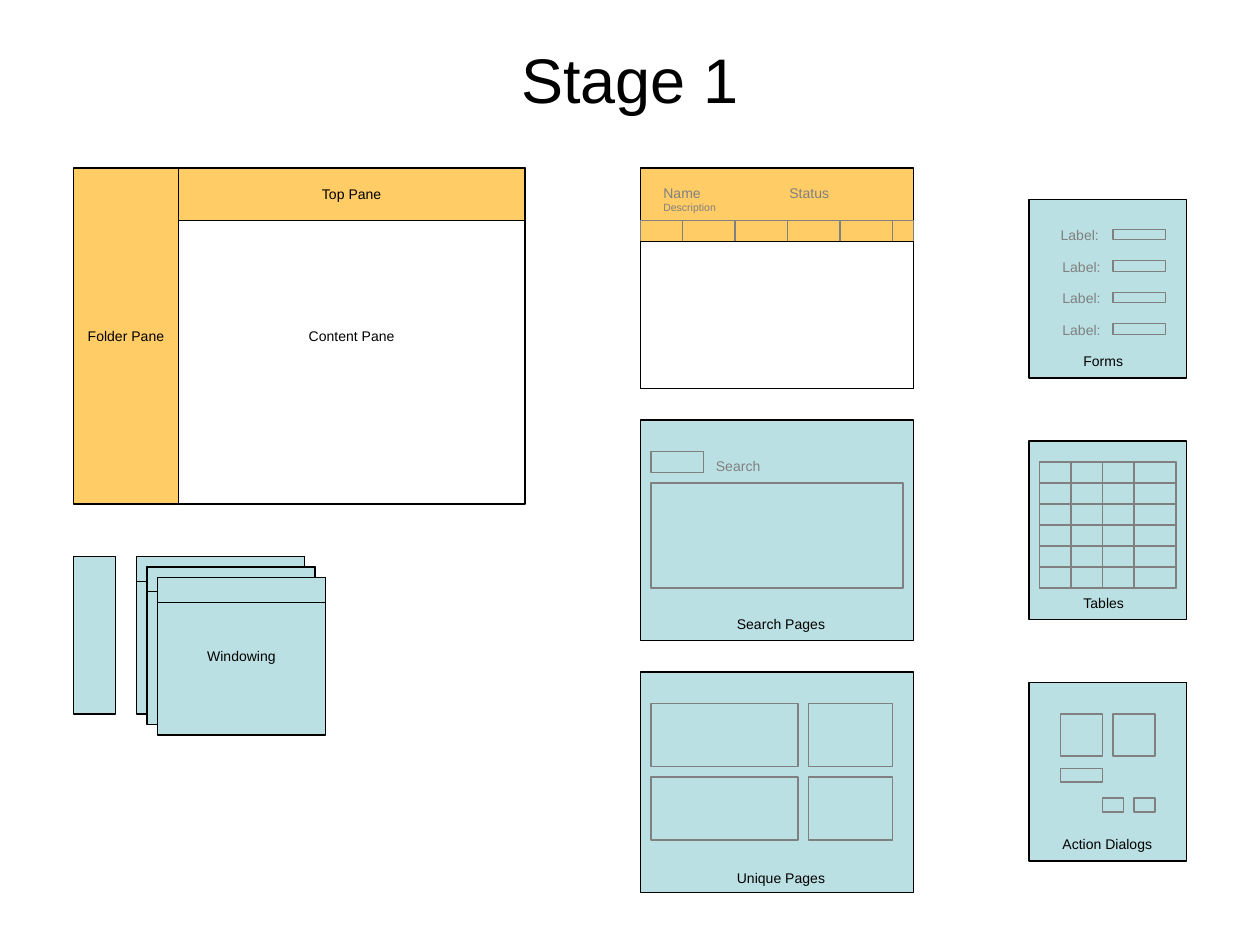
from pptx import Presentation
from pptx.dml.color import RGBColor
from pptx.enum.shapes import MSO_SHAPE
from pptx.enum.text import MSO_ANCHOR, MSO_AUTO_SIZE, PP_ALIGN
from pptx.util import Pt

RECTANGLE = MSO_SHAPE.RECTANGLE
MIDDLE, TOP = MSO_ANCHOR.MIDDLE, MSO_ANCHOR.TOP
CENTER, LEFT = PP_ALIGN.CENTER, PP_ALIGN.LEFT
GROW, FIXED = MSO_AUTO_SIZE.SHAPE_TO_FIT_TEXT, MSO_AUTO_SIZE.NONE
color = RGBColor.from_string
BLACK, GRAY, WHITE, ORANGE, TEAL = "000000", "808080", "FFFFFF", "FFCC66", "BBE0E3"

deck = Presentation()
deck.slide_width, deck.slide_height = Pt(720), Pt(540)
page = deck.slides.add_slide(deck.slide_layouts[6])


def write(box, text, size=8, ink=BLACK, align=CENTER, anchor=MIDDLE, wrap=False, fit=FIXED):
    frame = box.text_frame
    frame_format = {"word_wrap": wrap, "auto_size": fit, "vertical_anchor": anchor}
    for name, value in frame_format.items():
        setattr(frame, name, value)
    para = frame.paragraphs[0]
    para.alignment = align
    span = para.add_run()
    span.text = text
    for name, value in {"name": "Arial", "size": Pt(size)}.items():
        setattr(span.font, name, value)
    span.font.color.rgb = color(ink)


def rectangle(left, top, width, height, fill=TEAL, line=GRAY):
    box = page.shapes.add_shape(RECTANGLE, Pt(left), Pt(top), Pt(width), Pt(height))
    box.shadow.inherit = False
    if fill:
        box.fill.solid()
        box.fill.fore_color.rgb = color(fill)
    else:
        box.fill.background()
    box.line.color.rgb = color(line)
    box.line.width = Pt(0.75)
    return box


title = page.shapes.add_textbox(Pt(54), Pt(0), Pt(612), Pt(90))
write(title, "Stage 1", size=36, wrap=True)

panes = [
    ("Content Pane", 102, 96, 198, 192, WHITE),
    ("Folder Pane", 42, 96, 60, 192, ORANGE),
    ("Top Pane", 102, 96, 198, 30, ORANGE),
]
for text, left, top, width, height, fill in panes:
    write(rectangle(left, top, width, height, fill, BLACK), text)

rectangle(42, 318, 24, 90, line=BLACK)
for step in range(3):
    left, top = 78 + 6 * step, 318 + 6 * step
    window = rectangle(left, top, 96, 90, line=BLACK)
    rectangle(left, top, 96, 14.2, line=BLACK)
write(window, "Windowing")

for top, fill in [(96, ORANGE), (240, TEAL), (384, TEAL)]:
    rectangle(366, top, 156, 126, fill, BLACK)
for top in (114, 252, 390):
    rectangle(588, top, 90, 102, line=BLACK)

rectangle(366, 126, 156, 12, ORANGE)
for tab in range(4):
    rectangle(390 + 30 * tab, 126, 30, 12, ORANGE)
rectangle(366, 138, 156, 84, WHITE, BLACK)

rectangle(372, 276, 144, 60)
rectangle(372, 258, 30, 12)

for top in (402, 444):
    for left, width in [(372, 84), (462, 48)]:
        rectangle(left, top, width, 36)

for row in range(4):
    rectangle(636, 131 + 18 * row, 30, 6)

for left, width in [(594, 18), (612, 18), (630, 18), (648, 24)]:
    rectangle(left, 264, width, 72)
for row in range(6):
    rectangle(594, 264 + 12 * row, 78, 12, None)

for left in (606, 636):
    rectangle(left, 408, 24, 24)
rectangle(606, 439, 24, 8)
for left in (630, 648):
    rectangle(left, 456, 12, 8)

captions = [
    ("Name", 372, 102, 38, 17, 8, GRAY),
    ("Description", 372, 111.5, 47, 14.5, 6, GRAY),
    ("Status", 444, 102, 39, 17, 8, GRAY),
    ("Search", 402, 258, 42, 17, 8, GRAY),
    ("Search Pages", 414, 348, 67, 17, 8, BLACK),
    ("Unique Pages", 414, 493.5, 67, 17, 8, BLACK),
    ("Label:", 599, 126, 39, 17, 8, GRAY),
    ("Label:", 600, 144, 39, 17, 8, GRAY),
    ("Label:", 600, 162, 39, 17, 8, GRAY),
    ("Label:", 600, 180, 39, 17, 8, GRAY),
    ("Forms", 612, 198, 39, 17, 8, BLACK),
    ("Tables", 612, 336, 40, 17, 8, BLACK),
    ("Action Dialogs", 600, 474, 68, 17, 8, BLACK),
]
for text, left, top, width, height, size, ink in captions:
    caption = page.shapes.add_textbox(Pt(left), Pt(top), Pt(width), Pt(height))
    write(caption, text, size, ink, align=LEFT, anchor=TOP, fit=GROW)

deck.save("out.pptx")
